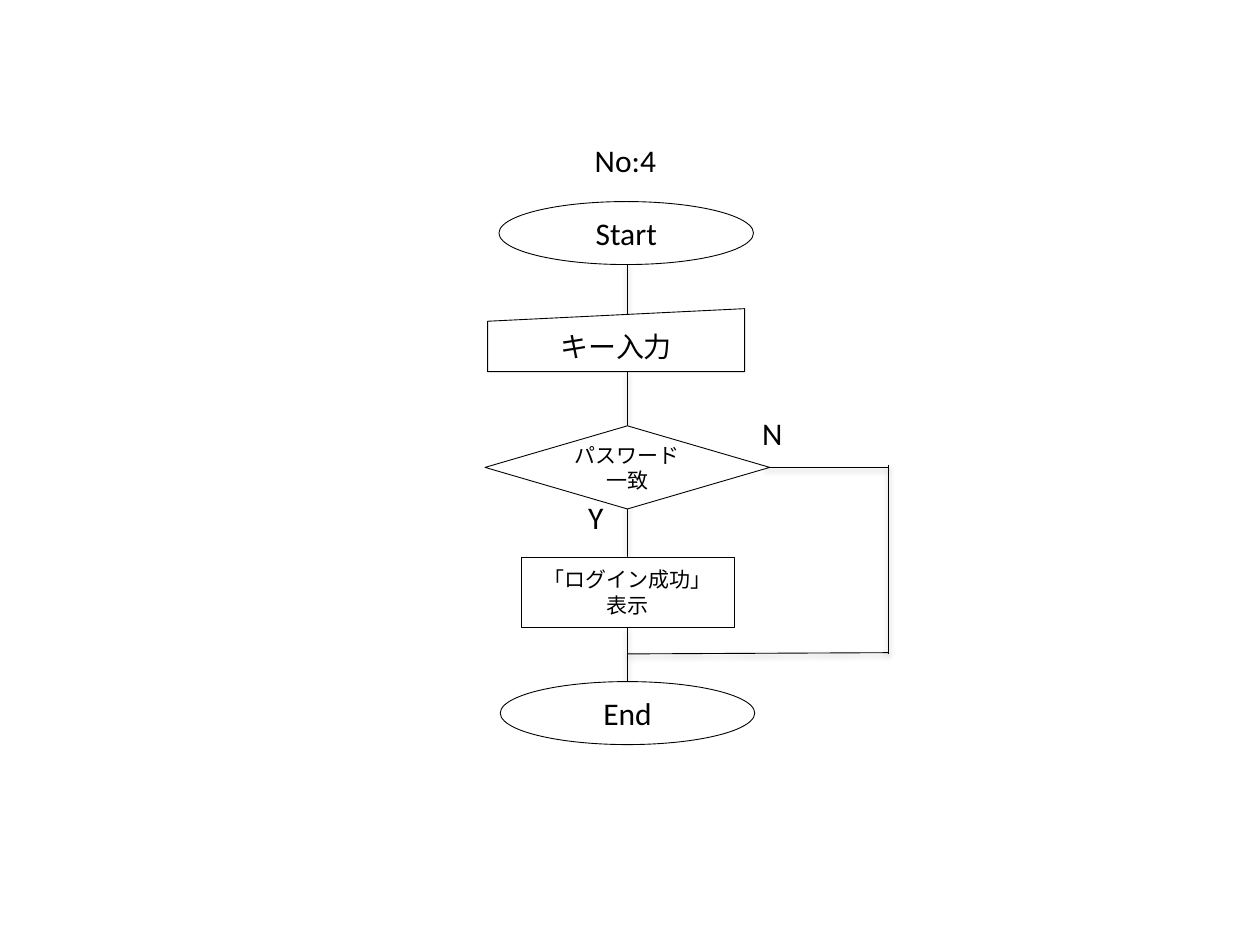
from pptx import Presentation, util as u
from pptx.dml.color import RGBColor
from pptx.enum import shapes, text

BLACK = RGBColor(0, 0, 0)
WHITE = RGBColor(255, 255, 255)
FONT = "Calibri"

presentation = Presentation()
presentation.slide_width, presentation.slide_height = u.Inches(10), u.Inches(7.5)
slide = presentation.slides.add_slide(presentation.slide_layouts[5])

# Main column and bypass column
CENTER_X, BYPASS_X = 4.98, 7.05
DECISION_Y, MERGE_Y = 3.71, 5.19


def place(shape, left, top, width, height):
    shape.left, shape.top = u.Inches(left), u.Inches(top)
    shape.width, shape.height = u.Inches(width), u.Inches(height)


def write(shape, words, size, align, anchor):
    frame = shape.text_frame
    frame.text = words
    frame.vertical_anchor = anchor
    paragraph = frame.paragraphs[0]
    paragraph.alignment = align
    font = paragraph.runs[0].font
    font.name, font.size, font.color.rgb = FONT, u.Pt(size), BLACK


# Title
title = slide.shapes.title
place(title, 4.62, 1.07, 0.71, 0.4)
write(title, "No:4", 18, text.PP_ALIGN.LEFT, text.MSO_ANCHOR.TOP)

# Flow lines, with the soft shadow of the theme
flow_lines = [
    (CENTER_X, 2.1, CENTER_X, 2.53),
    (CENTER_X, 2.95, CENTER_X, 3.38),
    (CENTER_X, 4, CENTER_X, 4.42),
    (CENTER_X, 4.98, CENTER_X, 5.41),
    (6.07, DECISION_Y, BYPASS_X, DECISION_Y),
    (BYPASS_X, 3.69, BYPASS_X, MERGE_Y),
    (CENTER_X, MERGE_Y, BYPASS_X, 5.18),
]
for ends in flow_lines:
    connector = slide.shapes.add_connector(
        shapes.MSO_CONNECTOR.STRAIGHT, *[u.Inches(value) for value in ends])
    connector.line.color.rgb = BLACK
    connector.line.width = u.Pt(0.5)

# Flowchart steps: kind, centre x, top, width, height, words, text size, line width
KIND = shapes.MSO_SHAPE
steps = [
    (KIND.OVAL, 4.97, 1.6, 2.02, 0.5, "Start", 18, 0.5),
    (KIND.FLOWCHART_MANUAL_INPUT, 4.89, 2.45, 2.04, 0.5, "キー入力", 16, 0.5),
    (KIND.FLOWCHART_DECISION, CENTER_X, 3.38, 2.26, 0.66, "パスワード一致", 12, 0.5),
    (KIND.RECTANGLE, CENTER_X, 4.42, 1.69, 0.56, "「ログイン成功」表示", 12, 0.25),
    (KIND.OVAL, CENTER_X, 5.41, 2.02, 0.5, "End", 18, 0.5),
]
for kind, center, top, width, height, words, size, line_width in steps:
    step = slide.shapes.add_shape(kind, 0, 0, 0, 0)
    place(step, center - width / 2, top, width, height)
    step.shadow.inherit = False
    step.fill.solid()
    step.fill.fore_color.rgb = WHITE
    step.line.color.rgb = BLACK
    step.line.width = u.Pt(line_width)
    write(step, words, size, text.PP_ALIGN.CENTER, text.MSO_ANCHOR.MIDDLE)

# Branch labels
for words, left, top, width in [("Y", 4.57, 3.9, 0.33), ("N", 5.95, 3.24, 0.36)]:
    label = slide.shapes.add_textbox(0, 0, 0, 0)
    place(label, left, top, width, 0.4)
    label.text_frame.word_wrap = False
    write(label, words, 18, text.PP_ALIGN.LEFT, text.MSO_ANCHOR.TOP)

presentation.save("out.pptx")
